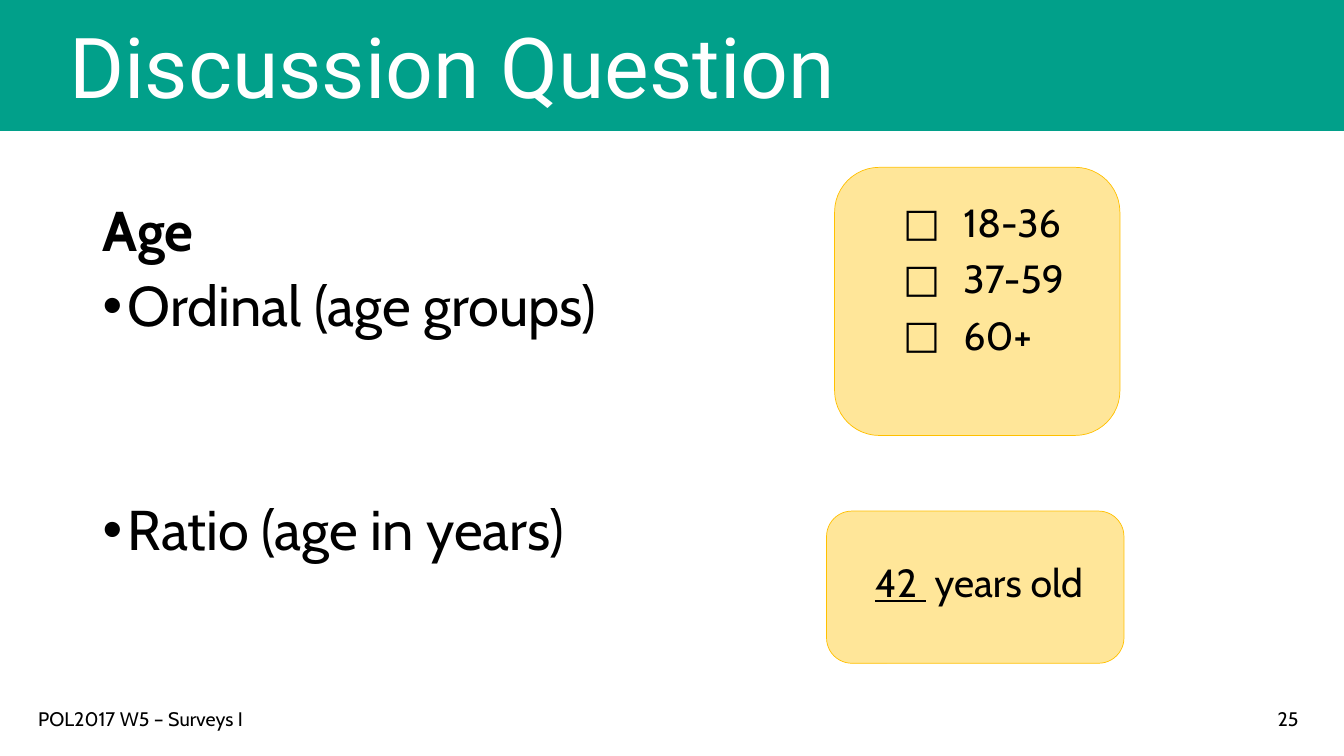
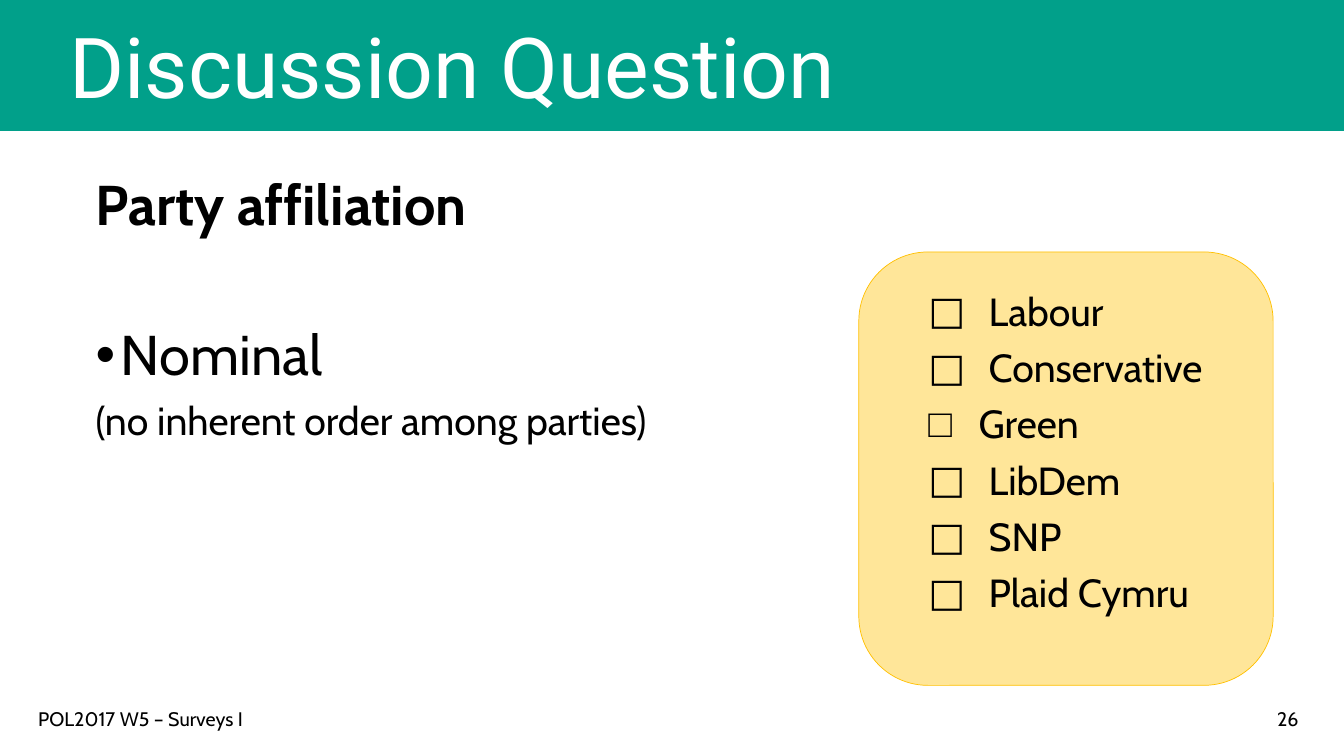
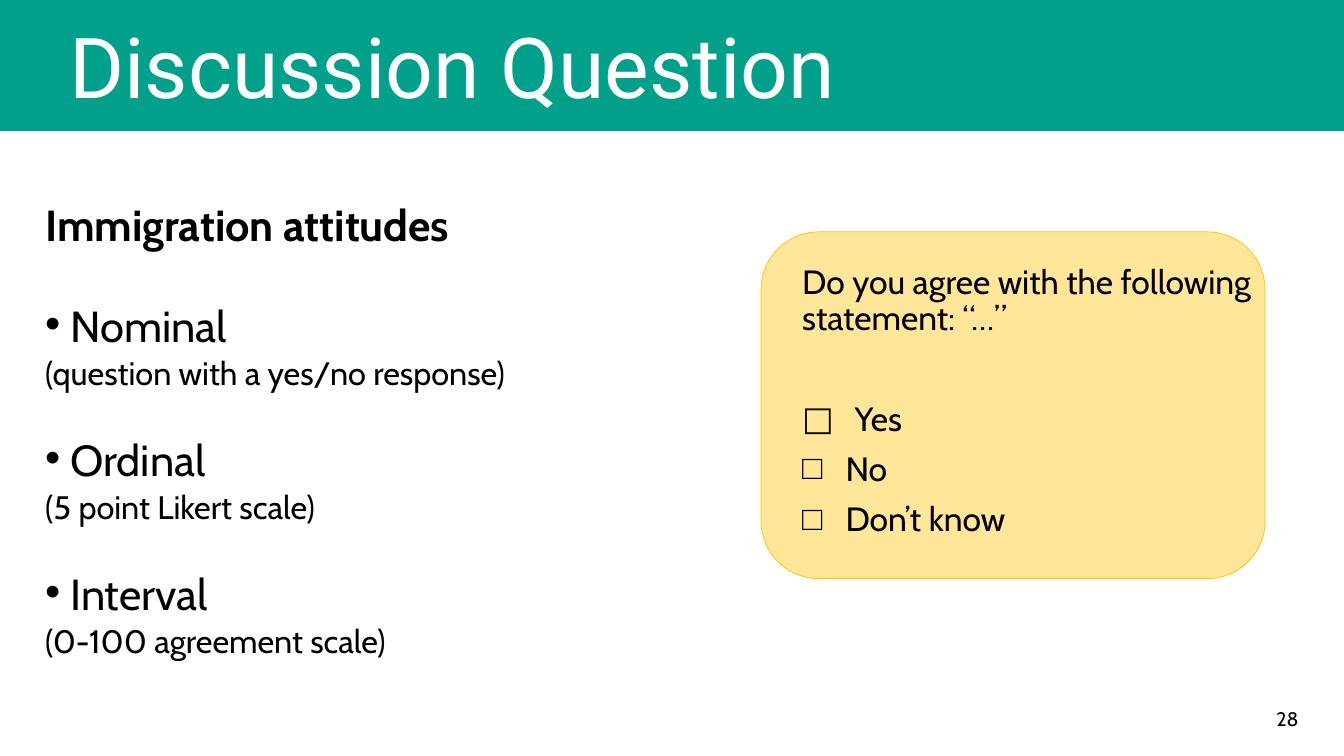
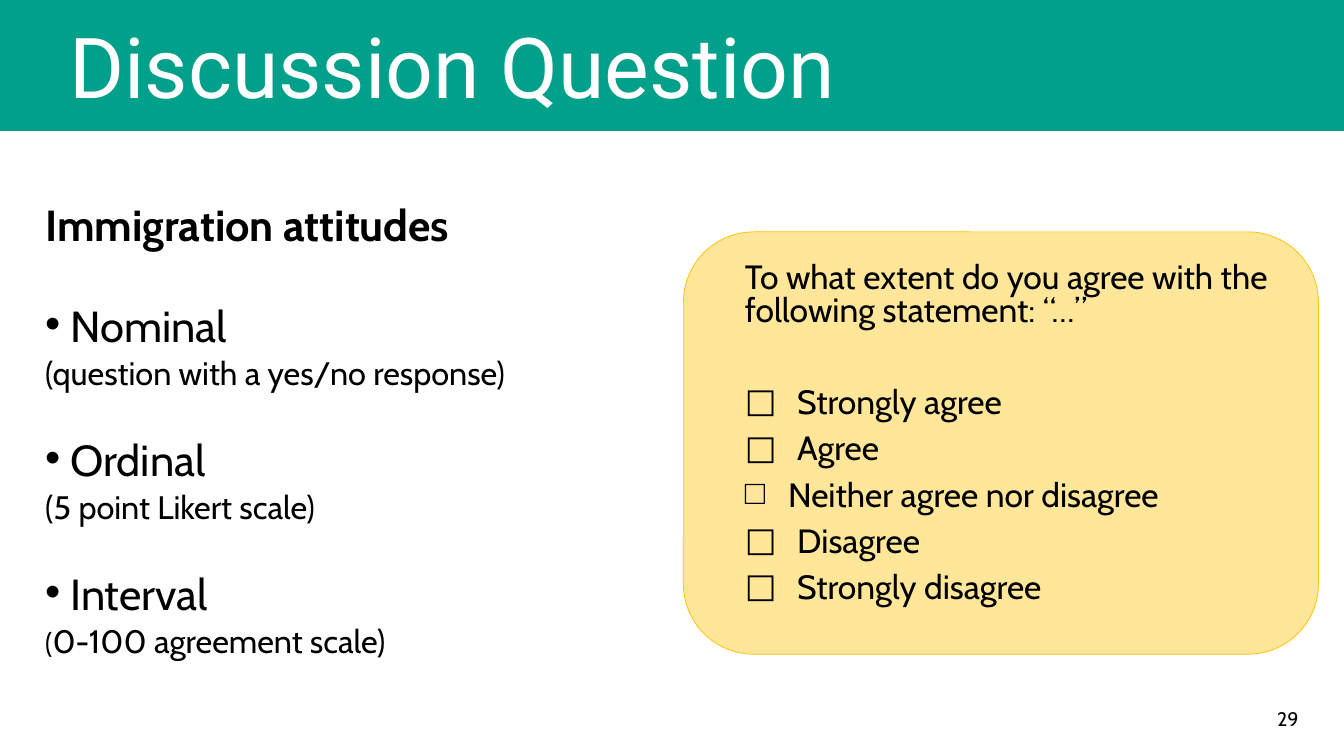
from dataclasses import dataclass

from lxml.etree import SubElement
from pptx import Presentation
from pptx.dml.color import RGBColor
from pptx.enum.shapes import MSO_SHAPE
from pptx.enum.text import MSO_ANCHOR, PP_ALIGN
from pptx.oxml.ns import qn
from pptx.util import Inches, Pt

COLOURS = {
    "band": "01A08A",
    "card": "FFE699",
    "card_line": "FFC000",
    "text": "000000",
    "title": "FFFFFF",
}
BODY_FONT = "Cabin"
TITLE_FONT = "Roboto"
SLIDE_WIDTH = Inches(13.333)
SLIDE_HEIGHT = Inches(7.5)


@dataclass
class Run:
    text: str
    size: float
    bold: bool = False
    underline: bool = False
    font: str = BODY_FONT
    colour: str = "text"


@dataclass
class Line:
    """One paragraph; indent is in inches and before in points."""
    runs: list
    bullet: str = ""
    bullet_font: str = "Arial"
    indent: float = 0.25
    before: float = 10


def heading(text, size):
    return Line([Run(text, size, bold=True)])


def plain(text, size):
    return Line([Run(text, size)])


def point(text, size, before=10):
    return Line([Run(text, size)], "•", before=before)


def option(text, size, small=False, before=10):
    """A tick-box answer; the small box is drawn in the bullet font."""
    font, share = ("Arial", 0.0178) if small else (BODY_FONT, 0.0215)
    return Line([Run(text, size)], "□", font, round(share * size, 2), before)


def colour(name):
    return RGBColor.from_string(COLOURS[name])


def place(left, top, width, height):
    """Turn percentages of the slide into lengths."""
    return (int(SLIDE_WIDTH * left / 100), int(SLIDE_HEIGHT * top / 100),
            int(SLIDE_WIDTH * width / 100), int(SLIDE_HEIGHT * height / 100))


def add_block(slide, preset, area, fill, line, line_width):
    shape = slide.shapes.add_shape(preset, *place(*area))
    shape.shadow.inherit = False
    shape.fill.solid()
    shape.fill.fore_color.rgb = colour(fill)
    shape.line.color.rgb = colour(line)
    shape.line.width = Pt(line_width)


def add_card(slide, area):
    add_block(slide, MSO_SHAPE.ROUNDED_RECTANGLE, area, "card", "card_line", 0.5)


def add_bullet(paragraph, line):
    properties = paragraph._p.get_or_add_pPr()
    properties.set("marL", str(Inches(line.indent)))
    properties.set("indent", str(-Inches(line.indent)))
    SubElement(properties, qn("a:buFont"), typeface=line.bullet_font)
    SubElement(properties, qn("a:buChar"), char=line.bullet)


def add_text(slide, area, lines, spacing=1.0, align=PP_ALIGN.LEFT,
             anchor=MSO_ANCHOR.TOP):
    frame = slide.shapes.add_textbox(*place(*area)).text_frame
    frame.word_wrap = True
    frame.vertical_anchor = anchor
    for index, line in enumerate(lines):
        paragraph = frame.add_paragraph() if index else frame.paragraphs[0]
        if line.bullet:
            add_bullet(paragraph, line)
        paragraph.alignment = align
        paragraph.line_spacing = spacing
        paragraph.space_before = Pt(line.before if index else 0)
        for part in line.runs:
            run = paragraph.add_run()
            run.text = part.text
            run.font.name = part.font
            run.font.size = Pt(part.size)
            run.font.bold = part.bold
            run.font.underline = part.underline
            run.font.color.rgb = colour(part.colour)


def add_question_slide(presentation, number, footer=""):
    """Add a slide with the shared band, title, footer and number."""
    slide = presentation.slides.add_slide(presentation.slide_layouts[6])
    add_block(slide, MSO_SHAPE.RECTANGLE, (0, -0.13, 100, 17.33), "band", "band", 1)
    title = Run("Discussion Question", 60, font=TITLE_FONT, colour="title")
    add_text(slide, (4.43, 2.8, 91.1, 13.33), [Line([title])], 0.9,
             anchor=MSO_ANCHOR.BOTTOM)
    if footer:
        add_text(slide, (2.1, 92.8, 31.65, 5.33), [plain(footer, 14)])
    add_text(slide, (76.2, 92.8, 21.15, 5.33), [plain(str(number), 14)],
             align=PP_ALIGN.RIGHT)
    return slide


def add_age(presentation, footer):
    slide = add_question_slide(presentation, 25, footer)
    add_card(slide, (62.1, 22.13, 21.23, 35.47))
    add_card(slide, (61.5, 67.6, 22.13, 20.13))
    add_text(slide, (6.9, 26.27, 42.5, 63.47), [
        heading("Age", 40),
        point("Ordinal (age groups)", 40),
        point("Ratio (age in years)", 40, before=117),
    ], 0.9)
    add_text(slide, (66.45, 26.27, 19.58, 32.93),
             [option(text, 28) for text in ("18-36", "37-59", "60+")], 0.9)
    add_text(slide, (64.35, 73.87, 33.75, 13.33),
             [Line([Run("42 ", 28, underline=True), Run(" years old", 28)])], 0.9)


def add_party(presentation, footer):
    slide = add_question_slide(presentation, 26, footer)
    add_card(slide, (63.9, 33.33, 30.83, 57.33))
    add_text(slide, (6.38, 22.8, 43.65, 63.47), [
        heading("Party affiliation", 40),
        point("Nominal", 40, before=64),
        plain("(no inherent order among parties)", 28),
    ], 0.9)
    parties = ("Labour", "Conservative", "Green", "LibDem", "SNP", "Plaid Cymru")
    add_text(slide, (68.33, 38, 30.75, 56),
             [option(party, 28, small=party == "Green") for party in parties], 0.9)


def add_immigration(presentation, number, card, answers, question, options,
                    spacing, last_note):
    slide = add_question_slide(presentation, number)
    add_card(slide, card)
    lines = [heading("Immigration attitudes", 31)]
    levels = (
        ("Nominal", [Run("(question with a yes/no response)", 23.2)], 46),
        ("Ordinal", [Run("(5 point Likert scale)", 23.2)], 40),
        ("Interval", last_note, 40),
    )
    for level, note, before in levels:
        lines += [point(level, 31, before), Line(note)]
    add_text(slide, (2.63, 27.47, 48, 63.47), lines, 0.7)
    add_text(slide, answers, [plain(question, 24)] + options, spacing)


def main():
    presentation = Presentation()
    presentation.slide_width = SLIDE_WIDTH
    presentation.slide_height = SLIDE_HEIGHT
    footer = "POL2017 W5 – Surveys I"
    add_age(presentation, footer)
    add_party(presentation, footer)
    add_immigration(
        presentation, 28, (56.63, 30.67, 37.5, 45.87), (58.95, 34.4, 35.85, 47.87),
        "Do you agree with the following statement: “…”",
        [option("Yes", 24, before=46),
         option("No", 24, small=True),
         option("Don’t know", 24, small=True)],
        0.9, [Run("(0-100 agreement scale)", 23.2)])
    add_immigration(
        presentation, 29, (50.85, 30.67, 47.25, 55.87), (54.68, 34.27, 43.43, 49.73),
        "To what extent do you agree with the following statement: “…”",
        [option("Strongly agree", 24, before=43),
         option("Agree", 24),
         option("Neither agree nor disagree", 24, small=True),
         option("Disagree", 24),
         option("Strongly disagree", 24)],
        0.8, [Run("(", 20.1), Run("0-100 agreement scale)", 23.2)])
    presentation.save("out.pptx")


if __name__ == "__main__":
    main()
